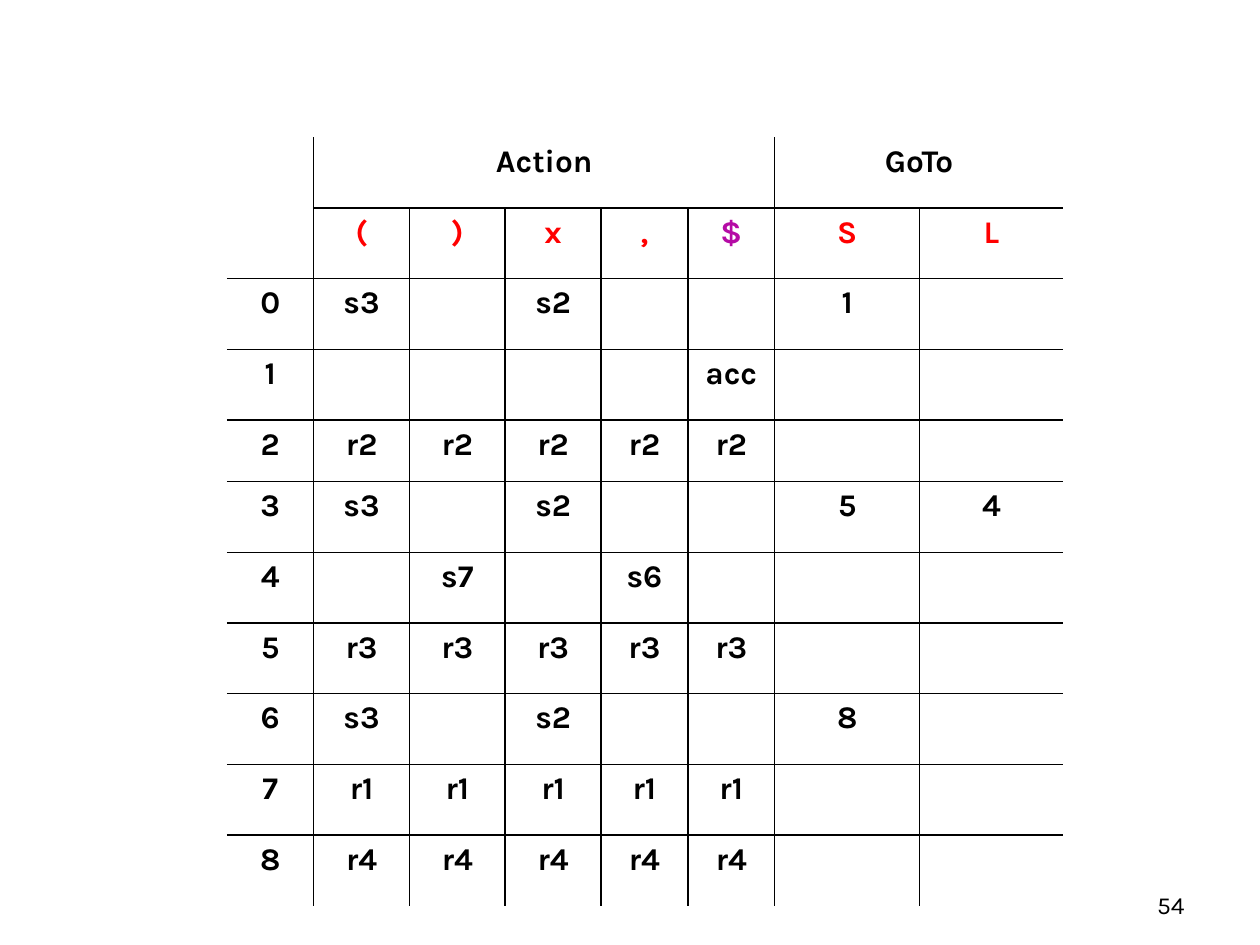
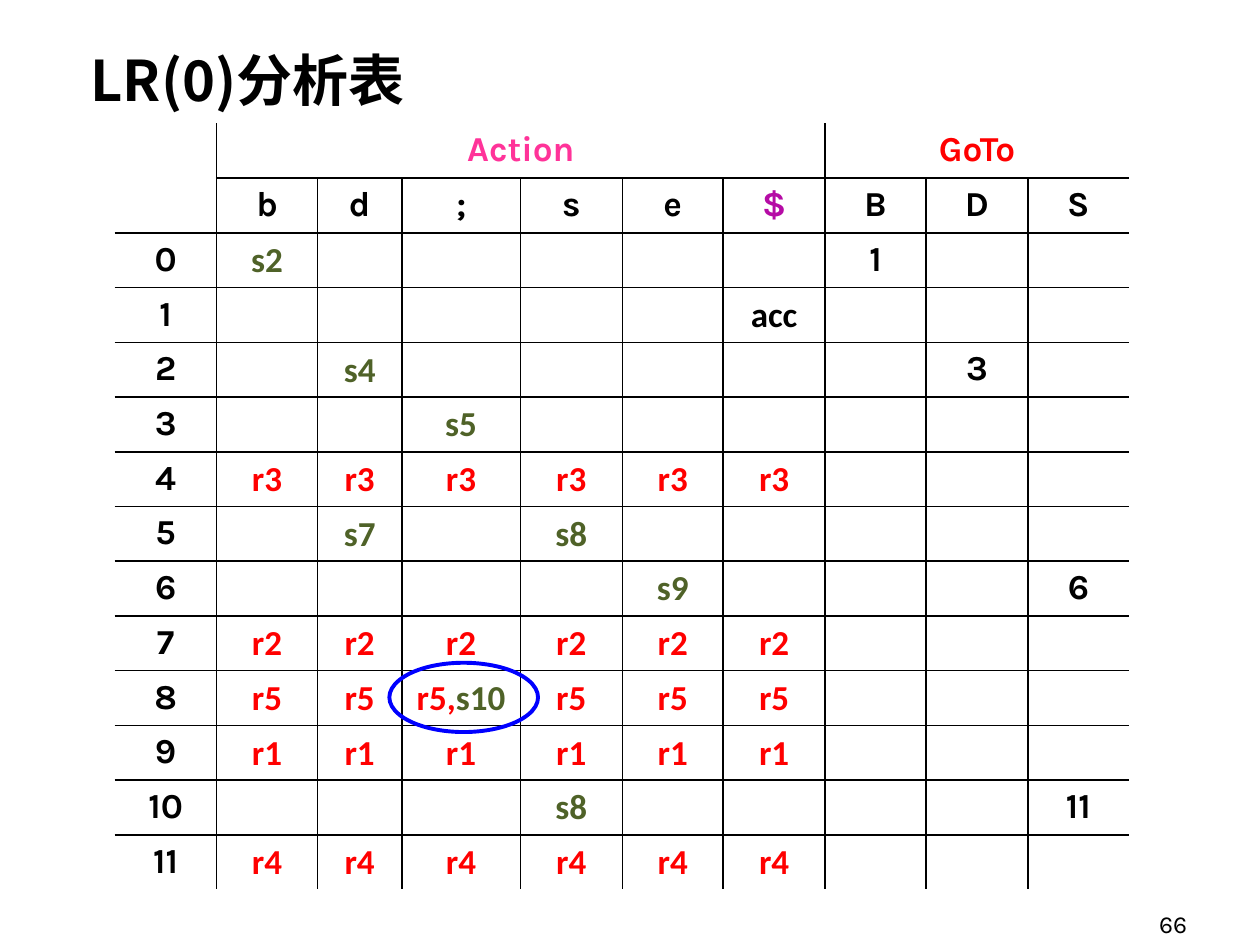
import collections
import dataclasses

import pptx
import pptx.dml.color
import pptx.enum.shapes
import pptx.enum.text
import pptx.oxml
import pptx.oxml.ns
import pptx.util

Inches = pptx.util.Inches
Pt = pptx.util.Pt
Box = collections.namedtuple("Box", "left top width height")


@dataclasses.dataclass(frozen=True)
class Theme:
    """Fonts, colours and sizes shared by the slides."""
    body_font: str = "Karla"
    entry_font: str = "Calibri"
    title_font: str = "Noto Sans CJK SC"
    black: str = "000000"
    red: str = "FF0000"
    pink: str = "FF3399"
    purple: str = "B50BA5"
    green: str = "4F6228"
    blue: str = "0000FF"
    title_size: int = 32
    number_size: int = 14
    border: float = 1
    highlight: float = 2.25
    plain_table: str = "{2D5ABB26-0587-4C30-8999-92F81FD0307C}"


THEME = Theme()
EMPTY = "-"


@dataclasses.dataclass(frozen=True)
class ParseTable:
    """Content and look of one parsing table."""
    terminals: str
    nonterminals: str
    states: tuple
    widths: tuple
    heights: tuple
    size: int
    action_color: str = THEME.black
    goto_color: str = THEME.black
    symbol_color: str = THEME.black
    colored_entries: bool = False


LIST_GRAMMAR = ParseTable(
    terminals="( ) x , $",
    nonterminals="S L",
    states=(
        "s3 - s2 - - 1 -",
        "- - - - acc - -",
        "r2 r2 r2 r2 r2 - -",
        "s3 - s2 - - 5 4",
        "- s7 - s6 - - -",
        "r3 r3 r3 r3 r3 - -",
        "s3 - s2 - - 8 -",
        "r1 r1 r1 r1 r1 - -",
        "r4 r4 r4 r4 r4 - -",
    ),
    widths=(0.69, 0.76, 0.76, 0.76, 0.69, 0.69, 1.15, 1.14),
    heights=(0.56,) * 4 + (0.49,) + (0.56,) * 6,
    size=18,
    symbol_color=THEME.red,
)

BLOCK_GRAMMAR = ParseTable(
    terminals="b d ; s e $",
    nonterminals="B D S",
    states=(
        "s2 - - - - - 1 - -",
        "- - - - - acc - - -",
        "- s4 - - - - - 3 -",
        "- - s5 - - - - - -",
        "r3 r3 r3 r3 r3 r3 - - -",
        "- s7 - s8 - - - - -",
        "- - - - s9 - - - 6",
        "r2 r2 r2 r2 r2 r2 - - -",
        "r5 r5 r5,s10 r5 r5 r5 - - -",
        "r1 r1 r1 r1 r1 r1 - - -",
        "- - - s8 - - - - 11",
        "r4 r4 r4 r4 r4 r4 - - -",
    ),
    widths=(0.81, 0.8, 0.67, 0.94, 0.81, 0.8, 0.81, 0.8, 0.81, 0.8),
    heights=(1,) * 14,
    size=20,
    action_color=THEME.pink,
    goto_color=THEME.red,
    colored_entries=True,
)


def add_run(paragraph, text, size, color=THEME.black, font=THEME.body_font, bold=True):
    """Append one formatted run."""
    run = paragraph.add_run()
    run.text = text
    run.font.size = Pt(size)
    run.font.name = font
    run.font.bold = bold
    run.font.color.rgb = pptx.dml.color.RGBColor.from_string(color)
    return run


def add_label(slide, box):
    """Add a wrapping text box and return its frame."""
    frame = slide.shapes.add_textbox(*map(Inches, box)).text_frame
    frame.word_wrap = True
    return frame


def add_title(slide, box, title):
    """Write the slide title in its box."""
    run = add_run(add_label(slide, box).paragraphs[0], title,
                  THEME.title_size, font=THEME.title_font)
    east_asian = pptx.oxml.parse_xml(
        f'<a:ea {pptx.oxml.ns.nsdecls("a")} typeface="{THEME.title_font}"/>')
    run.font._element.append(east_asian)


def add_page_number(slide, box, number):
    """Write the page number at the lower right of its box."""
    frame = add_label(slide, box)
    frame.vertical_anchor = pptx.enum.text.MSO_ANCHOR.BOTTOM
    paragraph = frame.paragraphs[0]
    paragraph.alignment = pptx.enum.text.PP_ALIGN.RIGHT
    add_run(paragraph, str(number), THEME.number_size, bold=False)


def rule_cell(cell, sides):
    """Draw borders on the given sides of a cell without a fill."""
    properties = cell._tc.get_or_add_tcPr()
    for side in sides:
        properties.append(pptx.oxml.parse_xml(
            f'<a:ln{side} {pptx.oxml.ns.nsdecls("a")} w="{Pt(THEME.border)}">'
            f'<a:solidFill><a:srgbClr val="{THEME.black}"/></a:solidFill></a:ln{side}>'))
    cell.fill.background()


def rule_grid(grid):
    """Rule the inside of the grid and leave its outer edge open."""
    last_row, last_column = len(grid.rows), len(grid.columns)
    for row in range(last_row):
        for column in range(last_column):
            cell = grid.cell(row, column)
            if cell.is_spanned:
                continue
            inner = {
                "L": column > 0,
                "R": column + cell.span_width < last_column,
                "T": row > 0,
                "B": row + cell.span_height < last_row,
            }
            rule_cell(cell, [side for side, drawn in inner.items() if drawn])


def write_cell(cell, text, size, color=THEME.black, font=THEME.body_font):
    """Write centred text in one cell."""
    paragraph = cell.text_frame.paragraphs[0]
    paragraph.alignment = pptx.enum.text.PP_ALIGN.CENTER
    add_run(paragraph, text, size, color, font)


def write_action(cell, entry, size):
    """Write shifts in green and reductions in red, also where they conflict."""
    colors = {"s": THEME.green, "r": THEME.red}
    paragraph = cell.text_frame.paragraphs[0]
    paragraph.alignment = pptx.enum.text.PP_ALIGN.CENTER
    moves = entry.split(",")
    for index, move in enumerate(moves):
        comma = "," if index < len(moves) - 1 else ""
        add_run(paragraph, move + comma, size,
                colors.get(move[0], THEME.black), THEME.entry_font)


def write_headings(grid, content):
    """Merge the group headings and write the grammar symbols."""
    terminals = content.terminals.split()
    symbols = terminals + content.nonterminals.split()
    goto_column = len(terminals) + 1
    grid.cell(0, 0).merge(grid.cell(1, 0))
    grid.cell(0, 1).merge(grid.cell(0, goto_column - 1))
    grid.cell(0, goto_column).merge(grid.cell(0, len(symbols)))
    write_cell(grid.cell(0, 1), "Action", content.size, content.action_color)
    write_cell(grid.cell(0, goto_column), "GoTo", content.size, content.goto_color)
    for column, symbol in enumerate(symbols, 1):
        color = THEME.purple if symbol == "$" else content.symbol_color
        write_cell(grid.cell(1, column), symbol, content.size, color)


def write_states(grid, content):
    """Write one row of entries for each parser state."""
    action_count = len(content.terminals.split())
    for state, entries in enumerate(content.states):
        row = state + 2
        write_cell(grid.cell(row, 0), str(state), content.size)
        for column, entry in enumerate(entries.split(), 1):
            if entry == EMPTY:
                continue
            cell = grid.cell(row, column)
            if content.colored_entries and column <= action_count:
                write_action(cell, entry, content.size)
            else:
                write_cell(cell, entry, content.size)


def add_parse_table(slide, box, content):
    """Build a parsing table that fills its box."""
    grid = slide.shapes.add_table(
        len(content.heights), len(content.widths), *map(Inches, box)).table
    grid.first_row = grid.horz_banding = False
    style = grid._tbl.tblPr.find(pptx.oxml.ns.qn("a:tableStyleId"))
    style.text = THEME.plain_table
    for column, width in zip(grid.columns, content.widths):
        column.width = Inches(box.width * width / sum(content.widths))
    for row, height in zip(grid.rows, content.heights):
        row.height = Inches(box.height * height / sum(content.heights))
    write_headings(grid, content)
    write_states(grid, content)
    rule_grid(grid)


def add_conflict_ring(slide, box):
    """Circle the conflicting entry."""
    ring = slide.shapes.add_shape(
        pptx.enum.shapes.MSO_SHAPE.OVAL, *map(Inches, box))
    ring.shadow.inherit = False
    ring.fill.background()
    ring.line.color.rgb = pptx.dml.color.RGBColor.from_string(THEME.blue)
    ring.line.width = Pt(THEME.highlight)


def build_list_slide(slide):
    """Show the table of the list grammar."""
    add_parse_table(slide, Box(1.8, 1.09, 6.64, 6.1), LIST_GRAMMAR)
    add_page_number(slide, Box(7.17, 6.83, 2.33, 0.52), 54)


def build_block_slide(slide):
    """Show the table of the block grammar and its conflict."""
    add_title(slide, Box(0.62, 0.31, 3.98, 0.64), "LR(0)分析表")
    add_parse_table(slide, Box(0.91, 0.98, 8.05, 6.08), BLOCK_GRAMMAR)
    add_page_number(slide, Box(7.19, 7, 2.33, 0.5), 66)
    add_conflict_ring(slide, Box(3.09, 5.26, 1.18, 0.55))


def main():
    """Build and save the presentation."""
    presentation = pptx.Presentation()
    presentation.slide_width = Inches(10)
    presentation.slide_height = Inches(7.5)
    blank = presentation.slide_layouts[6]
    for build in (build_list_slide, build_block_slide):
        build(presentation.slides.add_slide(blank))
    presentation.save("out.pptx")


if __name__ == "__main__":
    main()
